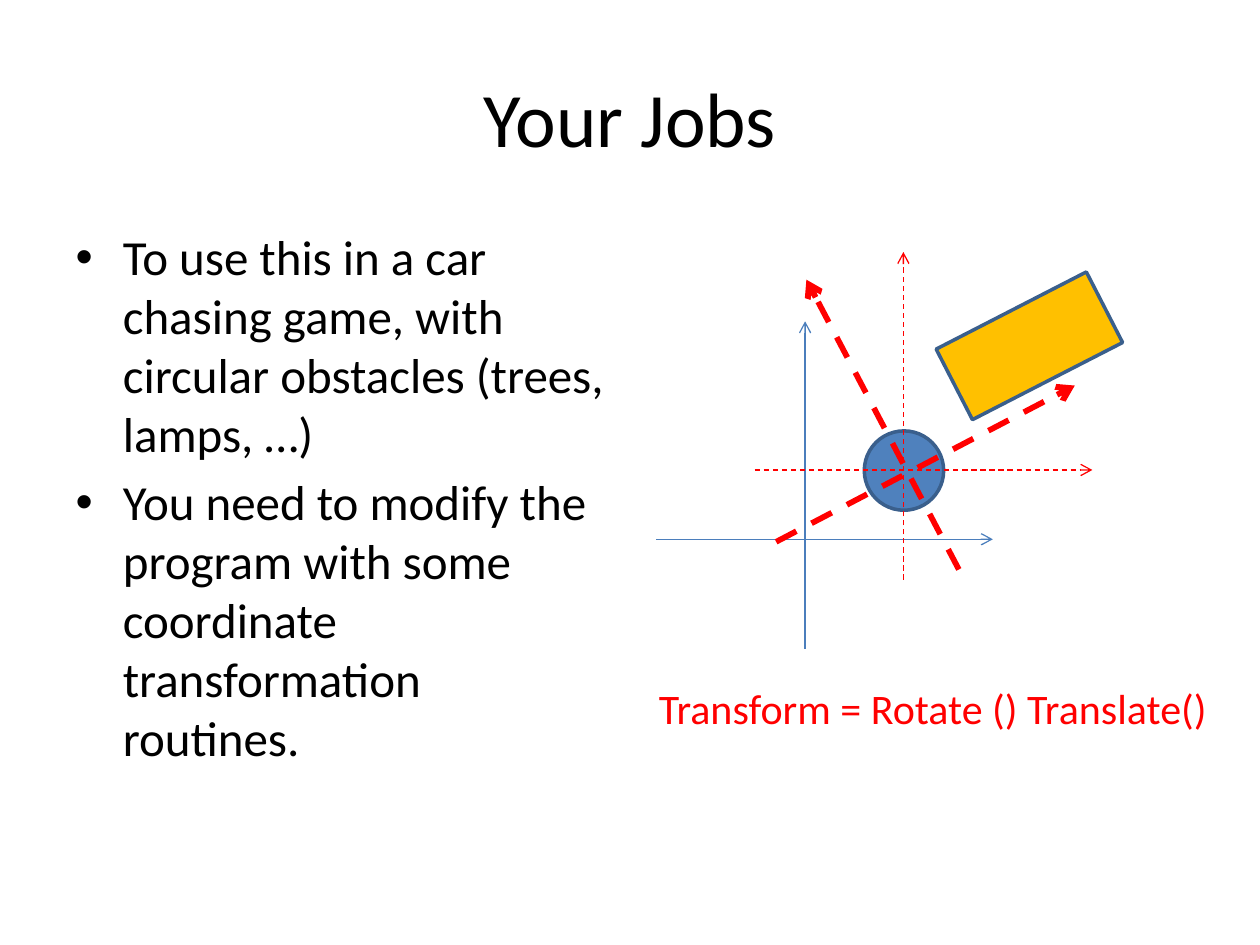
from lxml import etree
from pptx import Presentation
from pptx.dml.color import RGBColor
from pptx.enum.dml import MSO_LINE
from pptx.enum.shapes import MSO_CONNECTOR, MSO_SHAPE
from pptx.oxml.ns import qn
from pptx.util import Inches, Pt

STRAIGHT = MSO_CONNECTOR.STRAIGHT
DASH = MSO_LINE.DASH
OVAL, RECT = MSO_SHAPE.OVAL, MSO_SHAPE.RECTANGLE
BLACK = RGBColor(0x00, 0x00, 0x00)
RED = RGBColor(0xFF, 0x00, 0x00)
BLUE = RGBColor(0x4F, 0x81, 0xBD)
AXIS_BLUE = RGBColor(0x4B, 0x7E, 0xBC)
OUTLINE = RGBColor(0x3A, 0x5F, 0x8C)
AMBER = RGBColor(0xFF, 0xC0, 0x00)
FONT = "Calibri"


def add_run(p, text, size, color):
    r = p.add_run()
    r.text = text
    r.font.name = FONT
    r.font.size = Pt(size)
    r.font.color.rgb = color


def add_axis(x1, y1, x2, y2, color, width, dash=None):
    axis = s.shapes.add_connector(
        STRAIGHT, Inches(x1), Inches(y1), Inches(x2), Inches(y2))
    axis.line.color.rgb = color
    axis.line.width = Pt(width)
    if dash is not None:
        axis.line.dash_style = dash
    etree.SubElement(axis.line._get_or_add_ln(), qn("a:tailEnd"), type="arrow")
    etree.SubElement(axis._element.spPr, qn("a:effectLst"))


prs = Presentation()
prs.slide_width, prs.slide_height = Inches(10), Inches(7.5)
s = prs.slides.add_slide(prs.slide_layouts[1])

# Title
title = s.shapes.title
title.left, title.top = Inches(0.5), Inches(0.3)
title.width, title.height = Inches(9), Inches(1.25)
add_run(title.text_frame.paragraphs[0], "Your Jobs", 44, BLACK)

# Bullet list
body = s.placeholders[1]
body.left, body.top = Inches(0.5), Inches(1.75)
body.width, body.height = Inches(4.42), Inches(4.95)
tf = body.text_frame
jobs = [
    "To use this in a car chasing game, with circular obstacles (trees, lamps, …)",
    "You need to modify the program with some coordinate transformation routines.",
]
for i, job in enumerate(jobs):
    p = tf.add_paragraph() if i else tf.paragraphs[0]
    add_run(p, job, 28, BLACK)

# World axes
add_axis(5.21, 4.28, 7.88, 4.28, AXIS_BLUE, 0.75)
add_axis(6.39, 5.15, 6.39, 2.55, AXIS_BLUE, 0.75)

# Obstacle and car
for kind, x, y, w, h, angle, fill in [
    (OVAL, 6.86, 3.42, 0.63, 0.63, 0, BLUE),
    (RECT, 7.5, 2.43, 1.34, 0.63, 332.8, AMBER),
]:
    sp = s.shapes.add_shape(kind, Inches(x), Inches(y), Inches(w), Inches(h))
    sp.rotation = angle
    sp.shadow.inherit = False
    sp.fill.solid()
    sp.fill.fore_color.rgb = fill
    sp.line.color.rgb = OUTLINE
    sp.line.width = Pt(2)

# Translated axes, then rotated axes
for x1, y1, x2, y2, width in [
    (5.99, 3.73, 8.67, 3.73, 0.75),
    (7.17, 4.6, 7.17, 2, 0.75),
    (6.16, 4.3, 8.53, 3.06, 3.25),
    (7.61, 4.52, 6.4, 2.22, 3.25),
]:
    add_axis(x1, y1, x2, y2, RED, width, DASH)

# Formula
formula = s.shapes.add_textbox(Inches(5.13), Inches(5.37), Inches(4.59), Inches(0.5))
formula.text_frame.word_wrap = False
add_run(formula.text_frame.paragraphs[0], "Transform = Rotate () Translate()", 24, RED)

prs.save("out.pptx")
